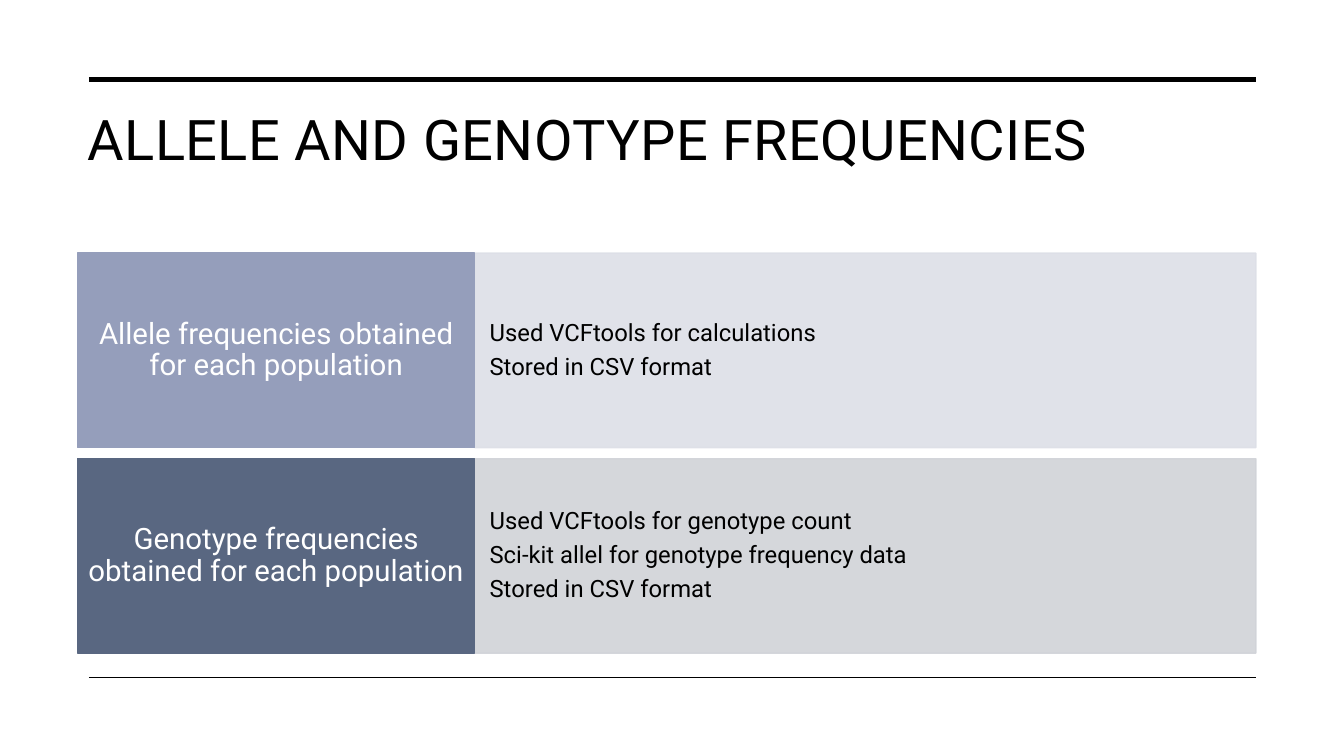
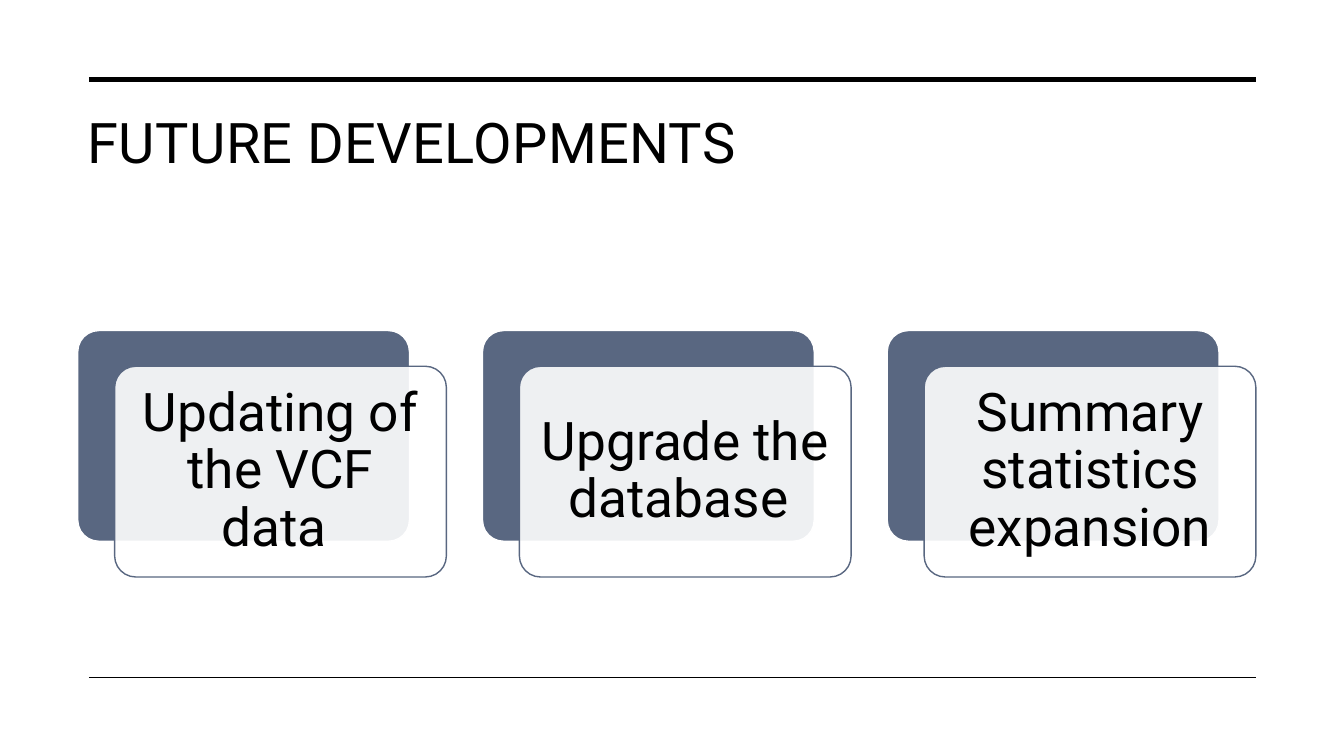
from dataclasses import dataclass

from lxml import etree
from pptx import Presentation
from pptx.dml.color import RGBColor
from pptx.enum.shapes import MSO_CONNECTOR, MSO_SHAPE
from pptx.enum.text import MSO_ANCHOR, MSO_AUTO_SIZE, PP_ALIGN
from pptx.oxml.ns import qn
from pptx.presentation import Presentation as Deck
from pptx.shapes.autoshape import Shape
from pptx.slide import Slide
from pptx.text.text import TextFrame
from pptx.util import Cm, Pt

RECTANGLE = MSO_SHAPE.RECTANGLE
ROUNDED = MSO_SHAPE.ROUNDED_RECTANGLE
STRAIGHT = MSO_CONNECTOR.STRAIGHT
LEFT, CENTER = PP_ALIGN.LEFT, PP_ALIGN.CENTER
TOP, MIDDLE = MSO_ANCHOR.TOP, MSO_ANCHOR.MIDDLE

BLACK = RGBColor(0x00, 0x00, 0x00)
WHITE = RGBColor(0xFF, 0xFF, 0xFF)
SLATE = RGBColor(0x59, 0x67, 0x81)
LAVENDER = RGBColor(0x95, 0x9E, 0xBB)
PALE_LAVENDER = RGBColor(0xDD, 0xDF, 0xE7)
PALE_GRAY = RGBColor(0xD1, 0xD3, 0xD8)

FONT = "Roboto"
TITLE_ONLY = 5
CONTENT_LEFT, CONTENT_RIGHT = 1.96, 31.65
RULE_LEFT = 2.24
RULES = ((2.0, 3.5), (17.07, 1))  # height on the page in cm, weight in points

LABEL_WIDTH = 10
BAND_TOP, BAND_HEIGHT, BAND_STEP = 6.38, 4.9, 5.18

CARD_TOP, CARD_WIDTH, CARD_HEIGHT = 8.33, 8.36, 5.31
CARD_SHIFT_X, CARD_SHIFT_Y = 0.93, 0.9


@dataclass(frozen=True)
class Band:
    label: str
    details: tuple[str, ...]
    label_color: RGBColor
    panel_color: RGBColor


BANDS = (
    Band("Allele frequencies obtained for each population",
         ("Used VCFtools for calculations", "Stored in CSV format"),
         LAVENDER, PALE_LAVENDER),
    Band("Genotype frequencies obtained for each population",
         ("Used VCFtools for genotype count",
          "Sci-kit allel for genotype frequency data",
          "Stored in CSV format"),
         SLATE, PALE_GRAY),
)
CARDS = ("Updating of the VCF data ", "Upgrade the database ",
         "Summary statistics expansion")


def write_text(frame: TextFrame, *lines: str, size: float,
               color: RGBColor = BLACK, align: PP_ALIGN = CENTER,
               anchor: MSO_ANCHOR = MIDDLE, line_spacing: float = 0.9,
               space_after: float = 0, letter_spacing: float = 0,
               inset_x: float = 0.25, inset_y: float = 0.13) -> None:
    """Fill a frame with one paragraph per line; insets are in cm."""
    frame.word_wrap = True
    frame.auto_size = MSO_AUTO_SIZE.NONE
    frame.vertical_anchor = anchor
    frame.margin_left = frame.margin_right = Cm(inset_x)
    frame.margin_top = frame.margin_bottom = Cm(inset_y)
    for index, line in enumerate(lines):
        para = frame.add_paragraph() if index else frame.paragraphs[0]
        para.alignment = align
        para.line_spacing = line_spacing
        para.space_before = Pt(0)
        para.space_after = Pt(space_after)
        span = para.add_run()
        span.text = line
        span.font.name = FONT
        span.font.size = Pt(size)
        span.font.color.rgb = color
        if letter_spacing:
            properties = span._r.get_or_add_rPr()
            properties.set("spc", str(round(letter_spacing * 100)))


def set_opacity(paint: etree._Element, percent: int) -> None:
    """Make every colour below a fill or line element translucent."""
    for color in paint.iter(qn("a:srgbClr")):
        alpha = etree.SubElement(color, qn("a:alpha"))
        alpha.set("val", str(percent * 1000))


def add_box(page: Slide, left: float, top: float, width: float, height: float,
            *, fill: RGBColor, line: RGBColor, rounded: bool = False,
            fill_opacity: int = 100, line_opacity: int = 100) -> Shape:
    box = page.shapes.add_shape(ROUNDED if rounded else RECTANGLE,
                                Cm(left), Cm(top), Cm(width), Cm(height))
    if rounded:
        box.adjustments[0] = 0.1
    box.shadow.inherit = False
    box.fill.solid()
    box.fill.fore_color.rgb = fill
    box.line.color.rgb = line
    box.line.width = Pt(1)
    for tag, opacity in (("a:solidFill", fill_opacity), ("a:ln", line_opacity)):
        if opacity < 100:
            set_opacity(box.element.spPr.find(qn(tag)), opacity)
    return box


def add_rule(page: Slide, top: float, weight: float) -> None:
    rule = page.shapes.add_connector(STRAIGHT, Cm(RULE_LEFT), Cm(top),
                                     Cm(CONTENT_RIGHT), Cm(top))
    rule.line.color.rgb = BLACK
    rule.line.width = Pt(weight)
    etree.SubElement(rule.element.spPr, qn("a:effectLst"))


def add_page(deck: Deck, heading: str, title_top: float,
             title_height: float) -> Slide:
    """Add a slide with its title and the two horizontal rules."""
    page = deck.slides.add_slide(deck.slide_layouts[TITLE_ONLY])
    title = page.shapes.title
    title.left, title.top = Cm(CONTENT_LEFT), Cm(title_top)
    title.width = Cm(CONTENT_RIGHT - CONTENT_LEFT)
    title.height = Cm(title_height)
    write_text(title.text_frame, heading, size=40, align=LEFT, anchor=TOP,
               line_spacing=1.0, letter_spacing=0.3)
    for top, weight in RULES:
        add_rule(page, top, weight)
    return page


def add_band(page: Slide, band: Band, top: float) -> None:
    panel_left = CONTENT_LEFT + LABEL_WIDTH
    panel = add_box(page, panel_left, top, CONTENT_RIGHT - panel_left,
                    BAND_HEIGHT, fill=band.panel_color, line=band.panel_color,
                    fill_opacity=90, line_opacity=90)
    write_text(panel.text_frame, *band.details, size=17, align=LEFT,
               space_after=5.95, inset_x=0.38)
    label = add_box(page, CONTENT_LEFT, top, LABEL_WIDTH, BAND_HEIGHT,
                    fill=band.label_color, line=band.label_color)
    write_text(label.text_frame, band.label, size=21, color=WHITE,
               inset_x=0.24)


def add_card(page: Slide, text: str, left: float) -> None:
    """Draw a solid backing with a translucent text card shifted over it."""
    add_box(page, left, CARD_TOP, CARD_WIDTH, CARD_HEIGHT,
            fill=SLATE, line=WHITE, rounded=True)
    card = add_box(page, left + CARD_SHIFT_X, CARD_TOP + CARD_SHIFT_Y,
                   CARD_WIDTH, CARD_HEIGHT, fill=WHITE, line=SLATE,
                   rounded=True, fill_opacity=90)
    write_text(card.text_frame, text, size=38, inset_x=0.38, inset_y=0.38)


def add_frequencies_page(deck: Deck) -> None:
    page = add_page(deck, "ALLELE AND GENOTYPE FREQUENCIES", 2.51, 3.2)
    for index, band in enumerate(BANDS):
        add_band(page, band, BAND_TOP + index * BAND_STEP)


def add_developments_page(deck: Deck) -> None:
    page = add_page(deck, "FUTURE DEVELOPMENTS", 2.57, 3.81)
    last_left = CONTENT_RIGHT - CARD_SHIFT_X - CARD_WIDTH
    step = (last_left - CONTENT_LEFT) / (len(CARDS) - 1)
    for index, text in enumerate(CARDS):
        add_card(page, text, CONTENT_LEFT + index * step)


def main() -> None:
    deck = Presentation()
    deck.slide_width, deck.slide_height = Cm(33.87), Cm(19.05)
    add_frequencies_page(deck)
    add_developments_page(deck)
    deck.save("out.pptx")


if __name__ == "__main__":
    main()
